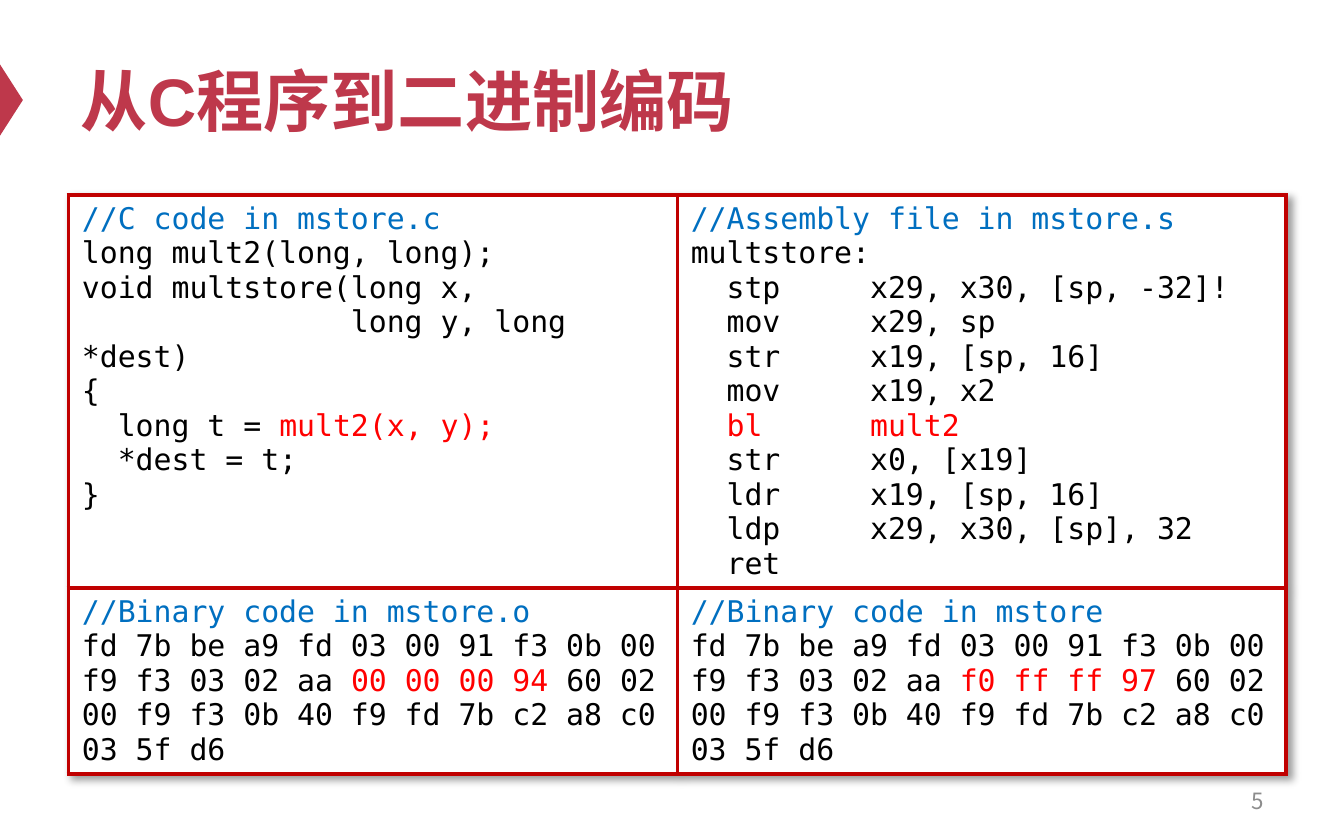
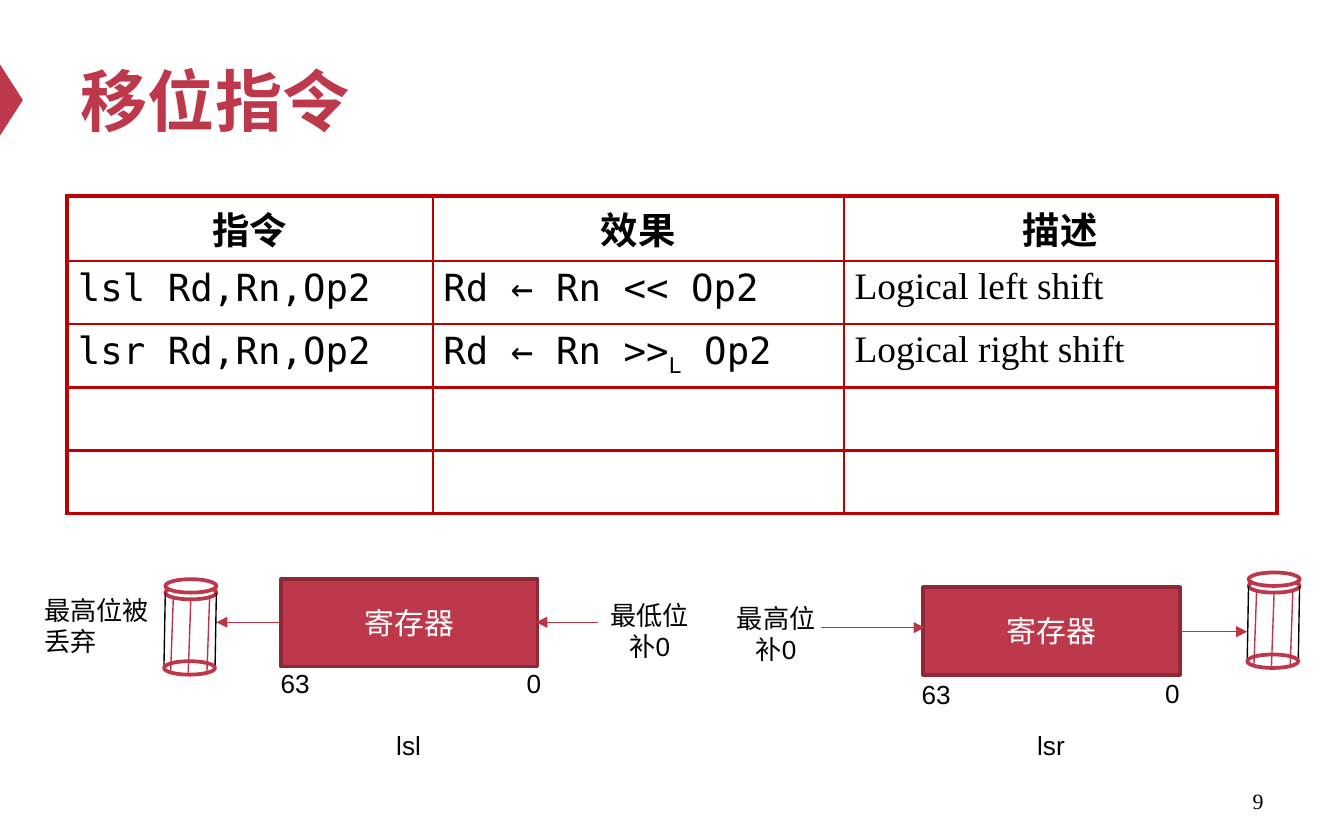
from copy import deepcopy
from dataclasses import dataclass, replace
from typing import NamedTuple

from lxml import etree
from pptx import Presentation
from pptx.dml.color import RGBColor
from pptx.enum.shapes import MSO_CONNECTOR, MSO_SHAPE
from pptx.enum.text import MSO_ANCHOR, MSO_AUTO_SIZE, PP_ALIGN
from pptx.oxml import parse_xml
from pptx.oxml.ns import qn
from pptx.util import Inches, Pt

LEFT, MID, RIGHT = PP_ALIGN.LEFT, PP_ALIGN.CENTER, PP_ALIGN.RIGHT
TOP, CENTER = MSO_ANCHOR.TOP, MSO_ANCHOR.MIDDLE
GROW, FIXED = MSO_AUTO_SIZE.SHAPE_TO_FIT_TEXT, MSO_AUTO_SIZE.NONE
RECT, OVAL, WEDGE = MSO_SHAPE.RECTANGLE, MSO_SHAPE.OVAL, MSO_SHAPE.ISOSCELES_TRIANGLE
STRAIGHT = MSO_CONNECTOR.STRAIGHT

ROSE, WINE, PEN, EDGE = "BE384B", "8D2937", "BD3347", "C00000"
BLACK, WHITE, GREY, BLUE, RED = "000000", "FFFFFF", "8C8C8C", "006FC0", "FF0000"
SANS, MONO, SERIF, HAN = "Arial", "DejaVu Sans Mono", "Times New Roman", "Noto Sans CJK SC"
EAST = {SANS: HAN, SERIF: HAN}
THICK, THIN, HAIR = 2.25, 1.5, 0.75
SHADOW = (
    '<a:effectLst xmlns:a="http://schemas.openxmlformats.org/drawingml/2006/main">'
    '<a:outerShdw blurRad="50800" dist="38100" dir="2700000" algn="tl" rotWithShape="0">'
    '<a:prstClr val="black"><a:alpha val="40000"/></a:prstClr></a:outerShdw></a:effectLst>'
)


@dataclass(frozen=True)
class Look:
    size: float
    font: str = SANS
    color: str = BLACK
    bold: bool = False
    base: int = 0


class Run(NamedTuple):
    text: str
    look: Look


class Box(NamedTuple):
    x: float
    y: float
    w: float
    h: float


class Label(NamedTuple):
    text: str
    box: Box
    align: PP_ALIGN = LEFT


class Line(NamedTuple):
    x1: float
    y1: float
    x2: float
    y2: float
    color: str = PEN


@dataclass(frozen=True)
class Grid:
    x: float
    y: float
    cols: list
    rows: list
    inner: float
    pad: tuple
    fill: str = ""
    shade: bool = False


HEAD = Look(36, SANS, ROSE, True)
CODE = Look(16, MONO)
NOTE, HOT = replace(CODE, color=BLUE), replace(CODE, color=RED)
TERM, SUB = Look(20, MONO), Look(20, MONO, base=-25000)
PROSE, TOPIC = Look(20, SERIF), Look(20, bold=True)
TAG, NAME = Look(14), Look(16, color=WHITE)


def rgb(code):
    return RGBColor.from_string(code)


def inch(box):
    return [Inches(v) for v in box]


def assign(thing, values):
    for key, value in values.items():
        setattr(thing, key, value)


def dress(run, look: Look):
    assign(run.font, {"size": Pt(look.size), "name": look.font, "bold": look.bold})
    run.font.color.rgb = rgb(look.color)
    props = run._r.get_or_add_rPr()
    etree.SubElement(props, qn("a:ea")).set("typeface", EAST.get(look.font, look.font))
    if look.base:
        props.set("baseline", str(look.base))


def write(frame, paras: list, align=LEFT):
    for i, runs in enumerate(paras):
        para = frame.paragraphs[0] if i == 0 else frame.add_paragraph()
        para.alignment = align
        for text, look in runs:
            for j, part in enumerate(text.split("\n")):
                if j:
                    para.add_line_break()
                    para._p[-1].append(deepcopy(run._r.rPr))
                run = para.add_run()
                run.text = part
                dress(run, look)


def add_text(slide, label: Label, look: Look, anchor=TOP, fit=GROW):
    frame = slide.shapes.add_textbox(*inch(label.box)).text_frame
    assign(frame, {"word_wrap": True, "auto_size": fit, "vertical_anchor": anchor})
    write(frame, [[Run(label.text, look)]], label.align)


def add_form(slide, kind, box: Box, fill: str, edge: str = ""):
    shape = slide.shapes.add_shape(kind, *inch(box))
    shape.shadow.inherit = False
    shape.fill.solid()
    shape.fill.fore_color.rgb = rgb(fill)
    if edge:
        shape.line.color.rgb = rgb(edge)
        shape.line.width = Pt(2)
    else:
        shape.line.fill.background()
    return shape


def add_line(slide, line: Line, arrow=False):
    link = slide.shapes.add_connector(STRAIGHT, *inch(line[:4]))
    link.line.color.rgb = rgb(line.color)
    link.line.width = Pt(HAIR)
    if arrow:
        etree.SubElement(link.line._get_or_add_ln(), qn("a:tailEnd")).set("type", "triangle")
    etree.SubElement(link._element.spPr, qn("a:effectLst"))


def set_edge(cell, sides: dict):
    props = cell._tc.get_or_add_tcPr()
    for i, (side, width) in enumerate(sides.items()):
        line = etree.Element(qn("a:ln" + side), w=str(Pt(width)))
        fill = etree.SubElement(line, qn("a:solidFill"))
        etree.SubElement(fill, qn("a:srgbClr")).set("val", EDGE)
        props.insert(i, line)


def add_grid(slide, grid: Grid, cells: list, heading=False):
    rows, cols = len(grid.rows), len(grid.cols)
    box = Box(grid.x, grid.y, sum(grid.cols), sum(grid.rows))
    table = slide.shapes.add_table(rows, cols, *inch(box)).table
    assign(table, {"first_row": False, "horz_banding": False})
    if grid.shade:
        table._tbl.tblPr.insert(0, parse_xml(SHADOW))
    for col, width in zip(table.columns, grid.cols):
        col.width = Inches(width)
    for row, height in zip(table.rows, grid.rows):
        row.height = Inches(height)
    across, down = inch(grid.pad)
    for r in range(rows):
        for c in range(cols):
            cell = table.cell(r, c)
            assign(cell, {"margin_left": across, "margin_right": across,
                          "margin_top": down, "margin_bottom": down})
            if grid.fill:
                cell.fill.solid()
                cell.fill.fore_color.rgb = rgb(grid.fill)
            else:
                cell.fill.background()
            outer = {"L": c == 0, "R": c == cols - 1, "T": r == 0, "B": r == rows - 1}
            set_edge(cell, {k: THICK if v else grid.inner for k, v in outer.items()})
            if r < len(cells):
                write(cell.text_frame, cells[r][c], MID if heading and r == 0 else LEFT)


def add_bin(slide, x: float, y: float):
    def ring(dx, dy):
        add_form(slide, OVAL, Box(x + dx, y + dy, 0.38, 0.1), WHITE, ROSE)

    def rod(x1, y1, x2, y2, color=PEN):
        add_line(slide, Line(x + x1, y + y1, x + x2, y + y2, color))

    ring(0.01, 0.05)
    for dx in (0, 0.38):
        rod(dx + 0.01, 0.1, dx, 0.66, BLACK)
    ring(0, 0.61)
    ring(0.01, 0)
    for dx in (0.01, 0.39):
        rod(dx, 0.05, dx, 0.1)
    for dx, dy in ((0.07, 0.13), (0.2, 0.15), (0.34, 0.13)):
        rod(dx, dy, dx - 0.02, dy + 0.56)


def add_slide(deck, title: str, page: str, look: Look):
    slide = deck.slides.add_slide(deck.slide_layouts[5])
    add_form(slide, WEDGE, Box(-0.18, 0.66, 0.53, 0.17), ROSE).rotation = 90
    head = slide.shapes.title
    left, top, width, height = inch(Box(0.5, 0.25, 9, 0.98))
    assign(head, {"left": left, "top": top, "width": width, "height": height})
    head.text_frame.vertical_anchor = CENTER
    write(head.text_frame, [[Run(title, HEAD)]])
    add_text(slide, Label(page, Box(7.17, 5.79, 2.33, 0.33), RIGHT), look, CENTER, FIXED)
    return slide


def code(note: str, *lines: str):
    return [[Run(note, NOTE)]] + [[Run(line, CODE)] for line in lines]


def dump(note: str, call: str):
    return code(note) + [[
        Run("fd 7b be a9 fd 03 00 91 f3 0b 00 f9 f3 03 02 aa ", CODE),
        Run(call, HOT),
        Run("60 02 00 f9 f3 0b 40 f9 fd 7b c2 a8 c0 03 5f d6", CODE),
    ]]


def draw_code(deck):
    slide = add_slide(deck, "从C程序到二进制编码", "5", Look(12, HAN, GREY))
    source = code(
        "//C code in mstore.c", "long mult2(long, long);",
        "void multstore(long x, \n               long y, long *dest)",
        "{", "  long t = ", "  *dest = t;", "}")
    source[4].append(Run("mult2(x, y);", HOT))
    listing = code(
        "//Assembly file in mstore.s", "multstore:",
        "  stp     x29, x30, [sp, -32]!", "  mov     x29, sp",
        "  str     x19, [sp, 16]", "  mov     x19, x2",
        "  bl      mult2", "  str     x0, [x19]",
        "  ldr     x19, [sp, 16]", "  ldp     x29, x30, [sp], 32", "  ret")
    listing[6] = [Run("  bl      mult2", HOT)]
    grid = Grid(0.51, 1.45, [4.53] * 2, [2.92, 1.38], THICK, (0.1, 0.05), WHITE, True)
    add_grid(slide, grid, [
        [source, listing],
        [dump("//Binary code in mstore.o", "00 00 00 94 "),
         dump("//Binary code in mstore", "f0 ff ff 97 ")],
    ])


def draw_shift(deck):
    slide = add_slide(deck, "移位指令", "9", Look(11.7, SERIF))
    grid = Grid(0.5, 1.46, [2.72, 3.06, 3.22], [0.47] * 5, THIN, (0.08, 0.04))
    add_grid(slide, grid, [
        [[[Run(word, TOPIC)]] for word in ("指令", "效果", "描述")],
        [[[Run("lsl Rd,Rn,Op2", TERM)]],
         [[Run("Rd ← Rn << Op2", TERM)]],
         [[Run("Logical left shift", PROSE)]]],
        [[[Run("lsr Rd,Rn,Op2", TERM)]],
         [[Run("Rd ← Rn >>", TERM), Run("L", SUB), Run(" Op2", TERM)]],
         [[Run("Logical right shift", PROSE)]]],
    ], True)
    for x, y in ((2.09, 4.31), (6.87, 4.37)):
        block = add_form(slide, RECT, Box(x, y, 1.91, 0.65), ROSE, WINE)
        block.text_frame.vertical_anchor = CENTER
        write(block.text_frame, [[Run("寄存器", NAME)]], MID)
    for line in (Line(4.45, 4.63, 3.99, 4.63), Line(2.09, 4.63, 1.61, 4.63),
                 Line(6.11, 4.67, 6.88, 4.67), Line(8.78, 4.7, 9.28, 4.7)):
        add_line(slide, line, True)
    add_bin(slide, 1.22, 4.31)
    add_bin(slide, 9.28, 4.26)
    for label in (
        Label("最高位被丢弃", Box(0.23, 4.37, 1.07, 0.57)),
        Label("最低位补0", Box(4.35, 4.41, 0.97, 0.57), MID),
        Label("最高位补0", Box(5.29, 4.43, 0.97, 0.57), MID),
        Label("63", Box(1.99, 4.92, 0.43, 0.34)),
        Label("0", Box(3.82, 4.92, 0.39, 0.34)),
        Label("63", Box(6.76, 5, 0.43, 0.34)),
        Label("0", Box(8.57, 4.99, 0.35, 0.34)),
        Label("lsl", Box(2.45, 5.38, 1.18, 0.34), MID),
        Label("lsr", Box(7.23, 5.38, 1.18, 0.34), MID),
    ):
        add_text(slide, label, TAG)


def main():
    deck = Presentation()
    assign(deck, {"slide_width": Inches(10), "slide_height": Inches(6.25)})
    draw_code(deck)
    draw_shift(deck)
    deck.save("out.pptx")


if __name__ == "__main__":
    main()
